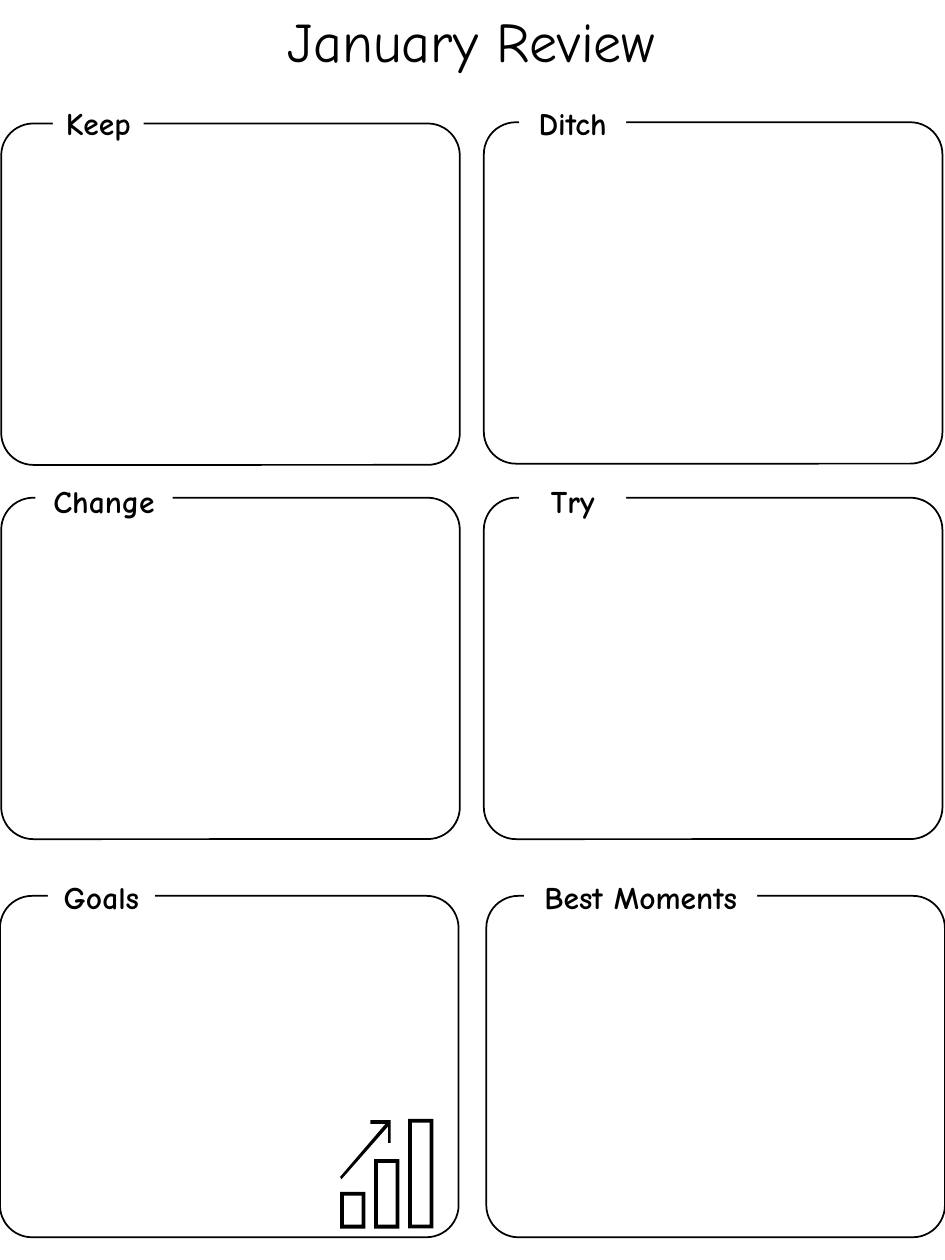
"""Build a one-page monthly review sheet with six titled boxes."""
from lxml import etree
from pptx import Presentation
from pptx.dml.color import RGBColor
from pptx.enum.shapes import MSO_SHAPE
from pptx.enum.text import MSO_ANCHOR, MSO_AUTO_SIZE, PP_ALIGN
from pptx.oxml.ns import qn
from pptx.util import Inches, Pt

BLACK = RGBColor(0x00, 0x00, 0x00)
WHITE = RGBColor(0xFF, 0xFF, 0xFF)
FONT = "Comic Neue"
RECTANGLE = MSO_SHAPE.RECTANGLE
ROUNDED = MSO_SHAPE.ROUNDED_RECTANGLE
CENTER = PP_ALIGN.CENTER
TOP = MSO_ANCHOR.TOP
GROW = MSO_AUTO_SIZE.SHAPE_TO_FIT_TEXT

PANEL_WIDTH, PANEL_HEIGHT = 3.64, 2.71
LABEL_HEIGHT = 0.4
SECTIONS = [
    ("Ditch", 3.84, 0.97, 4.12, 0.78, 0.85),
    ("Try", 3.84, 3.95, 4.12, 3.78, 0.85),
    ("Best Moments", 3.86, 7.11, 4.16, 6.92, 1.85),
    ("Keep", 0.01, 0.98, 0.42, 0.78, 0.72),
    ("Change", 0.01, 3.95, 0.28, 3.78, 1.09),
    ("Goals", 0, 7.11, 0.38, 6.92, 0.85),
]

BAR_WIDTH, BAR_BASE, BAR_EDGE = 0.2, 9.75, 0.03
BARS = [(3.24, 8.88), (2.97, 9.2), (2.7, 9.46)]
ARROW = [(3.08, 9.07), (3.08, 8.94), (2.71, 9.36), (2.7, 9.34), (3.06, 8.92),
         (2.94, 8.92), (2.94, 8.89), (3.1, 8.89), (3.1, 9.07)]


def corners(left, top, right, bottom):
    """Return the corners of a rectangle in clockwise order."""
    return [(left, top), (right, top), (right, bottom), (left, bottom)]


class ReviewSheet:
    """Draw the parts of the review sheet in one style."""

    def __init__(self, slide):
        self.slide = slide

    def set_text(self, shape, text, size, bold):
        """Put centred text into a shape and return its run."""
        frame = shape.text_frame
        frame.text = text
        frame.word_wrap = True
        frame.auto_size = GROW
        frame.vertical_anchor = TOP
        paragraph = frame.paragraphs[0]
        paragraph.alignment = CENTER
        run = paragraph.runs[0]
        run.font.size = Pt(size)
        run.font.bold = bold
        run.font.name = FONT
        run.font.color.rgb = BLACK
        return run

    def title(self, text, left, top, width, height):
        """Place the title and give its letters a soft shadow."""
        heading = self.slide.shapes.title
        heading.left, heading.top = Inches(left), Inches(top)
        heading.width, heading.height = Inches(width), Inches(height)
        run = self.set_text(heading, text, 32, False)
        effects = etree.Element(qn("a:effectLst"))
        shadow = etree.SubElement(effects, qn("a:outerShdw"), blurRad="38100",
                                  dist="38100", dir="2700000", algn="tl")
        color = etree.SubElement(shadow, qn("a:srgbClr"), val=str(BLACK))
        etree.SubElement(color, qn("a:alpha"), val="43000")
        run.font._element.find(qn("a:solidFill")).addnext(effects)

    def panel(self, left, top):
        """Draw an empty rounded box."""
        panel = self.slide.shapes.add_shape(
            ROUNDED, Inches(left), Inches(top), Inches(PANEL_WIDTH), Inches(PANEL_HEIGHT))
        panel.adjustments[0] = 0.094
        panel.shadow.inherit = False
        panel.fill.background()
        panel.line.color.rgb = BLACK
        panel.line.width = Pt(1)

    def label(self, text, left, top, width):
        """Draw a heading that interrupts the edge of its box."""
        label = self.slide.shapes.add_shape(
            RECTANGLE, Inches(left), Inches(top), Inches(width), Inches(LABEL_HEIGHT))
        label.shadow.inherit = False
        label.fill.solid()
        label.fill.fore_color.rgb = WHITE
        label.line.fill.background()
        label.text_frame.margin_left = label.text_frame.margin_right = Inches(0.05)
        self.set_text(label, text, 18, True)

    def outline(self, *contours):
        """Fill the area bounded by one or more closed contours."""
        rings = [[(Inches(x), Inches(y)) for x, y in contour] for contour in contours]
        builder = self.slide.shapes.build_freeform(*rings[0][0])
        builder.add_line_segments(rings[0][1:], close=True)
        for ring in rings[1:]:
            builder.move_to(*ring[0])
            builder.add_line_segments(ring[1:], close=True)
        figure = builder.convert_to_shape()
        figure.shadow.inherit = False
        figure.fill.solid()
        figure.fill.fore_color.rgb = BLACK
        figure.line.fill.background()

    def bar(self, left, top):
        """Draw a hollow bar standing on the common base."""
        right = left + BAR_WIDTH
        outer = corners(left, top, right, BAR_BASE)
        inner = corners(left + BAR_EDGE, top + BAR_EDGE,
                        right - BAR_EDGE, BAR_BASE - BAR_EDGE)
        self.outline(outer, inner[::-1])


def main():
    """Build and save the sheet."""
    deck = Presentation()
    deck.slide_width, deck.slide_height = Inches(7.5), Inches(10)
    sheet = ReviewSheet(deck.slides.add_slide(deck.slide_layouts[5]))
    sheet.title("January Review", 1.63, 0, 4.23, 0.64)
    for _, left, top, *_ in SECTIONS:
        sheet.panel(left, top)
    for name, _, _, left, top, width in SECTIONS:
        sheet.label(name, left, top, width)
    for left, top in BARS:
        sheet.bar(left, top)
    sheet.outline(ARROW)
    deck.save("out.pptx")


if __name__ == "__main__":
    main()
